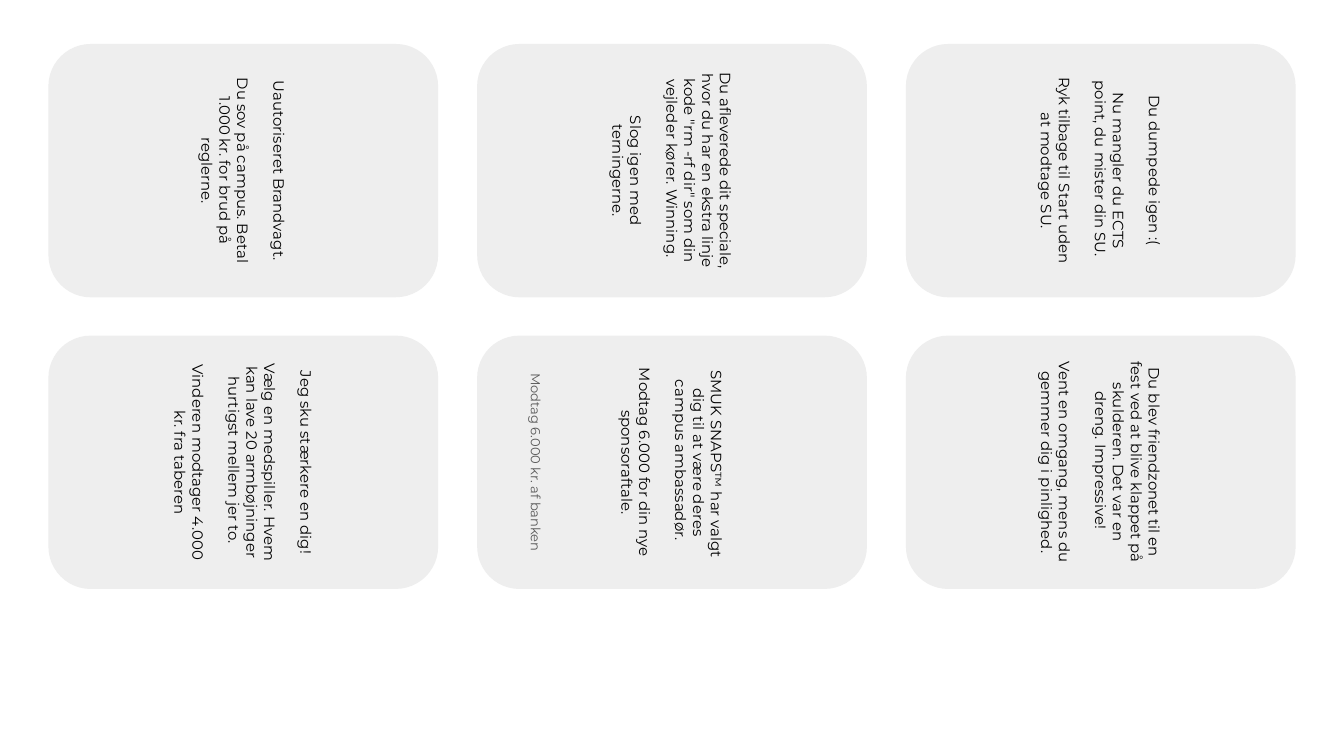
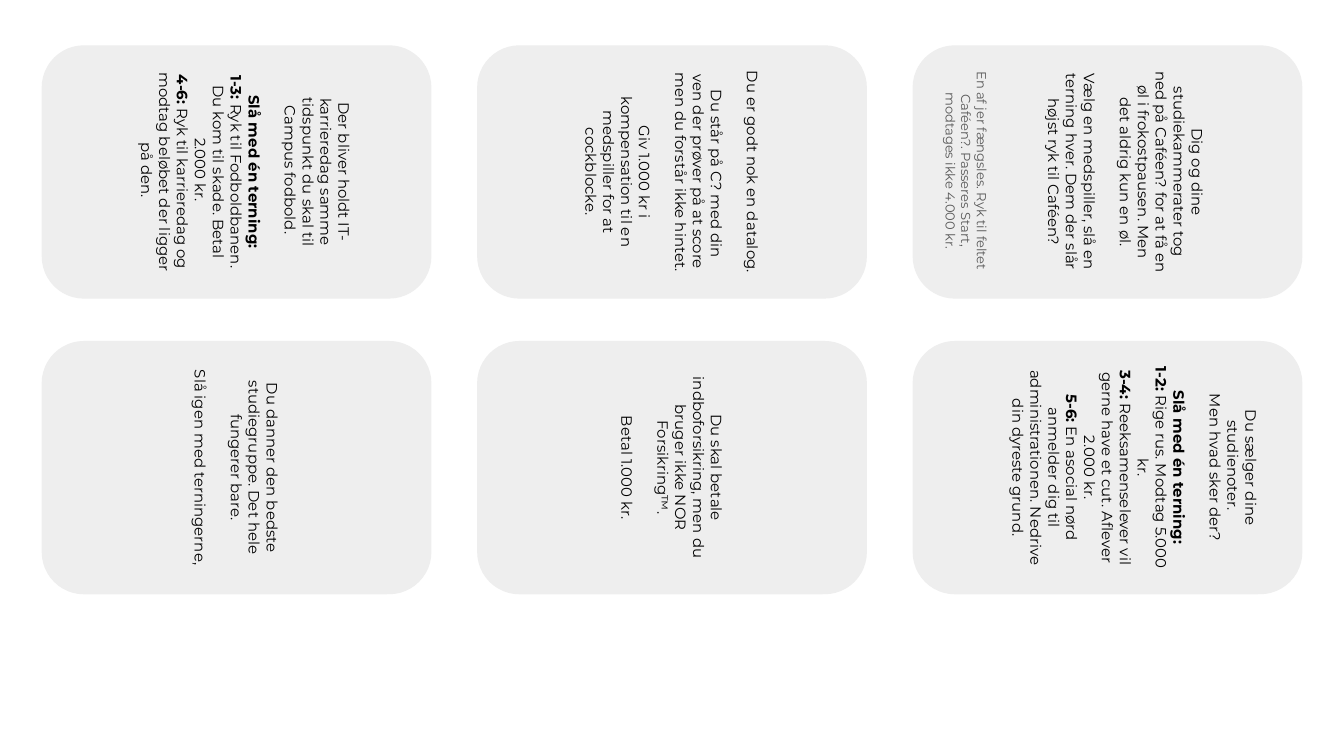
from dataclasses import dataclass
from typing import Optional

from pptx import Presentation
from pptx.dml.color import RGBColor
from pptx.enum.shapes import MSO_SHAPE
from pptx.enum.text import MSO_ANCHOR, MSO_AUTO_SIZE, PP_ALIGN
from pptx.util import Inches, Pt


# Shared look
@dataclass(frozen=True)
class Theme:
    font: str = "Montserrat"
    card_fill: RGBColor = RGBColor(0xEE, 0xEE, 0xEE)
    ink: RGBColor = RGBColor(0x00, 0x00, 0x00)
    note_ink: RGBColor = RGBColor(0x59, 0x59, 0x59)
    body_size: float = 8
    note_size: float = 7
    line_gap: float = 9.75  # points in one line of body text


THEME = Theme()
PAGE_WIDTH = Inches(10)
PAGE_HEIGHT = PAGE_WIDTH * 9 // 16
CARD_HEIGHT = Inches(2.9)  # card sizes are before the quarter turn
CARD_WIDTH = int(CARD_HEIGHT * 0.65)
CENTRE_LEFT = (PAGE_WIDTH - CARD_WIDTH) // 2
NOTE_WIDTH = Inches(1.85)
MARGIN = Inches(0.1)
QUARTER_TURN = 90


@dataclass(frozen=True)
class Para:
    text: str = ""
    lead: str = ""  # bold opening words
    gap: bool = True  # one line of space above


@dataclass(frozen=True)
class Note:
    text: str
    left: float
    top: float
    height: float


@dataclass(frozen=True)
class Card:
    paras: tuple[Para, ...]
    note: Optional[Note] = None
    lines_below: int = 0  # lifts the centred text


@dataclass(frozen=True)
class Sheet:
    top: float
    column_step: float
    row_step: float
    rows: tuple[tuple[Card, ...], ...]


def plain(*texts: str) -> tuple[Para, ...]:
    return tuple(Para(text) for text in texts)


# Card texts, row by row
SHEETS = (
    Sheet(-0.18, 3.19, 2.17, (
        (
            Card(plain(
                "Uautoriseret Brandvagt.",
                "Du sov på campus. Betal 1.000 kr. for brud på reglerne.",
            )),
            Card(plain(
                "Du afleverede dit speciale, hvor du har en ekstra linje kode "
                "\"rm -rf dir\" som din vejleder kører. Winning. ",
                "Slog igen med terningerne.",
            )),
            Card(plain(
                "Du dumpede igen :(",
                "Nu mangler du ECTS point, du mister din SU. ",
                "Ryk tilbage til Start uden at modtage SU.",
            )),
        ),
        (
            Card(plain(
                "Jeg sku stærkere en dig!",
                "Vælg en medspiller. Hvem kan lave 20 armbøjninger hurtigst "
                "mellem jer to. ",
                "Vinderen modtager 4.000 kr. fra taberen",
            )),
            Card(
                plain(
                    " SMUK SNAPS™ har valgt dig til at være deres campus "
                    "ambassadør. ",
                    "Modtag 6.000 for din nye sponsoraftale.",
                ),
                Note("Modtag 6.000 kr. af banken", 3.02, 3.28, 0.32),
            ),
            Card(plain(
                "Du blev friendzonet til en fest ved at blive klappet på "
                "skulderen. Det var en dreng. Impressive! ",
                "Vent en omgang, mens du gemmer dig i pinlighed.",
            )),
        ),
    )),
    Sheet(-0.17, 3.24, 2.2, (
        (
            Card(
                (
                    Para("Der bliver holdt IT-karrieredag samme tidspunkt du "
                         "skal til Campus fodbold. "),
                    Para(lead="Slå med én terning:"),
                    Para("Ryk til Fodboldbanen. Du kom til skade. Betal "
                         "2.000 kr. ", "1-3: ", gap=False),
                    Para("Ryk til karrieredag og modtag beløbet der ligger "
                         "på den. ", "4-6: ", gap=False),
                ),
                lines_below=1,
            ),
            Card(plain(
                "Du er godt nok en datalog.",
                " Du står på C? med din ven der prøver på at score men du "
                "forstår ikke hintet. ",
                "Giv 1.000 kr i kompensation til en medspiller for at "
                "cockblocke.",
            )),
            Card(
                plain(
                    "Dig og dine studiekammerater tog ned på Caféen? for at "
                    "få en øl i frokostpausen. Men det aldrig kun en øl.",
                    "Vælg en medspiller, slå en terning hver. Dem der slår "
                    "højst ryk til Caféen?",
                ),
                Note("En af jer fængsles. Ryk til feltet Caféen?. Passeres "
                     "Start, modtages ikke 4.000 kr.", 6.26, 0.99, 0.56),
                lines_below=2,
            ),
        ),
        (
            Card(plain(
                "Du danner den bedste studiegruppe. Det hele fungerer bare.",
                "Slå igen med terningerne,",
            )),
            Card(plain(
                "Du skal betale indboforsikring, men du bruger ikke NOR "
                "Forsikring™.",
                "Betal 1.000 kr.",
            )),
            Card(
                (
                    Para("Du sælger dine studienoter. "),
                    Para("Men hvad sker der?", gap=False),
                    Para(lead="Slå med én terning:"),
                    Para("Rige rus. Modtag 5.000 kr.", "1-2: ", gap=False),
                    Para("Reeksamenselever vil gerne have et cut. Aflever "
                         "2.000 kr.", "3-4: ", gap=False),
                    Para(" En asocial nørd anmelder dig til administrationen. "
                         "Nedrive din dyreste grund.", "5-6:", gap=False),
                ),
                lines_below=3,
            ),
        ),
    )),
)


# Drawing
def apply_format(target, values: dict) -> None:
    for name, value in values.items():
        setattr(target, name, value)


def write_span(para, text: str, size: float, color: RGBColor, bold: bool = False) -> None:
    span = para.add_run()
    span.text = text
    apply_format(span.font, {"name": THEME.font, "size": Pt(size), "bold": bold})
    span.font.color.rgb = color


def set_frame(frame, anchor: MSO_ANCHOR, lines_below: int = 0) -> None:
    apply_format(frame, {
        "word_wrap": True,
        "vertical_anchor": anchor,
        "margin_left": MARGIN,
        "margin_right": MARGIN,
        "margin_top": MARGIN,
        "margin_bottom": MARGIN + Pt(lines_below * THEME.line_gap),
    })


def draw_note(shapes, note: Note) -> None:
    box = shapes.add_textbox(Inches(note.left), Inches(note.top),
                             NOTE_WIDTH, Inches(note.height))
    box.rotation = QUARTER_TURN
    set_frame(box.text_frame, MSO_ANCHOR.TOP)
    box.text_frame.auto_size = MSO_AUTO_SIZE.SHAPE_TO_FIT_TEXT
    para = box.text_frame.paragraphs[0]
    para.alignment = PP_ALIGN.CENTER
    write_span(para, note.text, THEME.note_size, THEME.note_ink)


def draw_card(page, card: Card, left: int, top: int) -> None:
    shapes = page.shapes.add_group_shape().shapes if card.note else page.shapes
    box = shapes.add_shape(MSO_SHAPE.ROUNDED_RECTANGLE, left, top,
                           CARD_WIDTH, CARD_HEIGHT)
    box.rotation = QUARTER_TURN
    box.shadow.inherit = False
    box.fill.solid()
    box.fill.fore_color.rgb = THEME.card_fill
    box.line.fill.background()
    frame = box.text_frame
    set_frame(frame, MSO_ANCHOR.MIDDLE, card.lines_below)
    for index, content in enumerate(card.paras):
        para = frame.add_paragraph() if index else frame.paragraphs[0]
        space = THEME.line_gap if index and content.gap else 0
        apply_format(para, {"alignment": PP_ALIGN.CENTER, "space_before": Pt(space)})
        for text, bold in ((content.lead, True), (content.text, False)):
            if text:
                write_span(para, text, THEME.body_size, THEME.ink, bold)
    if card.note:
        draw_note(shapes, card.note)


def draw_sheet(deck, sheet: Sheet) -> None:
    page = deck.slides.add_slide(deck.slide_layouts[6])
    for row, cards in enumerate(sheet.rows):
        for column, card in enumerate(cards):
            draw_card(page, card,
                      CENTRE_LEFT + (column - 1) * Inches(sheet.column_step),
                      Inches(sheet.top + row * sheet.row_step))


def main() -> None:
    deck = Presentation()
    apply_format(deck, {"slide_width": PAGE_WIDTH, "slide_height": PAGE_HEIGHT})
    for sheet in SHEETS:
        draw_sheet(deck, sheet)
    deck.save("out.pptx")


if __name__ == "__main__":
    main()
